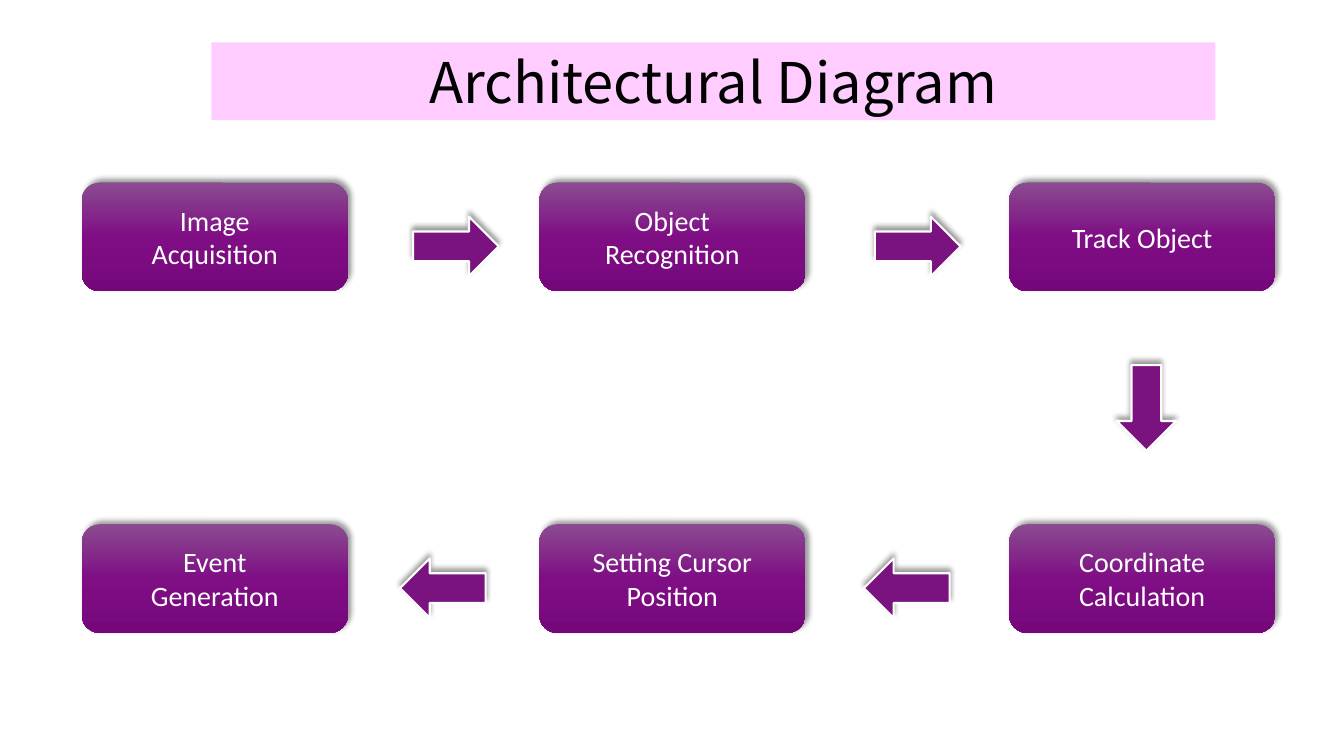
from dataclasses import dataclass

import pptx
import pptx.util
import pptx.dml.color
import pptx.enum.shapes
import pptx.enum.text
import pptx.oxml
import pptx.oxml.ns

Cm, Pt = pptx.util.Cm, pptx.util.Pt
MSO_SHAPE = pptx.enum.shapes.MSO_SHAPE
NS = pptx.oxml.ns.nsdecls("a")
COLORS = {
    "title_fill": "FFCCFF", "title_text": "000000", "white": "FFFFFF", "arrow": "7A1380",
    "box_top": "8A4C90", "box_middle": "7F0E85", "box_bottom": "75077B", "shadow": "000000",
}
COLUMNS = (2.06, 13.59, 25.43)
ROWS = (4.6, 13.21)
BOX_W, BOX_H = 6.71, 2.74
ARROW_W, ARROW_H = 2.16, 1.5


@dataclass(frozen=True)
class Step:
    column: int
    row: int
    lines: tuple[str, ...]


@dataclass(frozen=True)
class Arrow:
    left: float
    top: float
    rotation: int = 0


STEPS = (
    Step(0, 0, ("Image", "Acquisition")),
    Step(1, 0, ("Object", "Recognition")),
    Step(2, 0, ("Track Object",)),
    Step(2, 1, ("Coordinate", "Calculation")),
    Step(1, 1, ("Setting Cursor", "Position")),
    Step(0, 1, ("Event", "Generation")),
)
ARROWS = (
    Arrow(10.41, 5.46),
    Arrow(22.05, 5.46),
    Arrow(27.81, 9.53, 90),
    Arrow(21.77, 14.07, 180),
    Arrow(10.08, 14.07, 180),
)


def rgb(name: str) -> pptx.dml.color.RGBColor:
    return pptx.dml.color.RGBColor.from_string(COLORS[name])


def add_shape(slide, kind, left: float, top: float, width: float, height: float):
    """Add a preset shape, measured in centimetres, without a shadow."""
    s = slide.shapes.add_shape(kind, Cm(left), Cm(top), Cm(width), Cm(height))
    s.shadow.inherit = False
    return s


def add_shadow(s, angle: int) -> None:
    effects = s._element.spPr.find(pptx.oxml.ns.qn("a:effectLst"))
    effects.append(pptx.oxml.parse_xml(
        f'<a:outerShdw {NS} blurRad="{Pt(4)}" dist="{Pt(3)}" dir="{angle * 60000}" '
        f'algn="ctr" rotWithShape="0"><a:srgbClr val="{COLORS["shadow"]}">'
        '<a:alpha val="40000"/></a:srgbClr></a:outerShdw>'))


def fill_gradient(s) -> None:
    """Shade a shape from top to bottom with three stops."""
    s.fill.gradient()
    s.fill.gradient_angle = 270
    stops = s._element.spPr.find(".//" + pptx.oxml.ns.qn("a:gsLst"))
    for stop in list(stops):
        stops.remove(stop)
    for i, name in enumerate(("box_top", "box_middle", "box_bottom")):
        stops.append(pptx.oxml.parse_xml(
            f'<a:gs {NS} pos="{i * 50000}"><a:srgbClr val="{COLORS[name]}"/></a:gs>'))


def write_lines(s, lines: tuple[str, ...], color: str, font: dict) -> None:
    tf = s.text_frame
    tf.word_wrap = True
    tf.vertical_anchor = pptx.enum.text.MSO_ANCHOR.MIDDLE
    for i, line in enumerate(lines):
        p = tf.paragraphs[0] if i == 0 else tf.add_paragraph()
        p.alignment = pptx.enum.text.PP_ALIGN.CENTER
        r = p.add_run()
        r.text = line
        r.font.color.rgb = rgb(color)
        for name, value in font.items():
            setattr(r.font, name, value)


def add_title(slide) -> None:
    s = add_shape(slide, MSO_SHAPE.RECTANGLE, 5.33, 1.07, 25.3, 1.96)
    s.fill.solid()
    s.fill.fore_color.rgb = rgb("title_fill")
    s.line.fill.background()
    write_lines(s, ("Architectural Diagram",), "title_text",
                {"name": "Noto Sans CJK SC", "size": Pt(40)})


def add_step(slide, step: Step) -> None:
    s = add_shape(slide, MSO_SHAPE.ROUNDED_RECTANGLE,
                  COLUMNS[step.column], ROWS[step.row], BOX_W, BOX_H)
    fill_gradient(s)
    s.line.fill.background()
    add_shadow(s, 315)
    write_lines(s, step.lines, "white", {"name": "Calibri", "size": Pt(20)})


def add_arrow(slide, arrow: Arrow) -> None:
    s = add_shape(slide, MSO_SHAPE.RIGHT_ARROW, arrow.left, arrow.top, ARROW_W, ARROW_H)
    s.rotation = arrow.rotation
    s.fill.solid()
    s.fill.fore_color.rgb = rgb("arrow")
    s.line.color.rgb = rgb("white")
    s.line.width = Pt(1.5)
    add_shadow(s, 270)


def main() -> None:
    prs = pptx.Presentation()
    prs.slide_width, prs.slide_height = Cm(33.87), Cm(19.05)
    slide = prs.slides.add_slide(prs.slide_layouts[6])
    add_title(slide)
    for step in STEPS:
        add_step(slide, step)
    for arrow in ARROWS:
        add_arrow(slide, arrow)
    prs.save("out.pptx")


if __name__ == "__main__":
    main()
